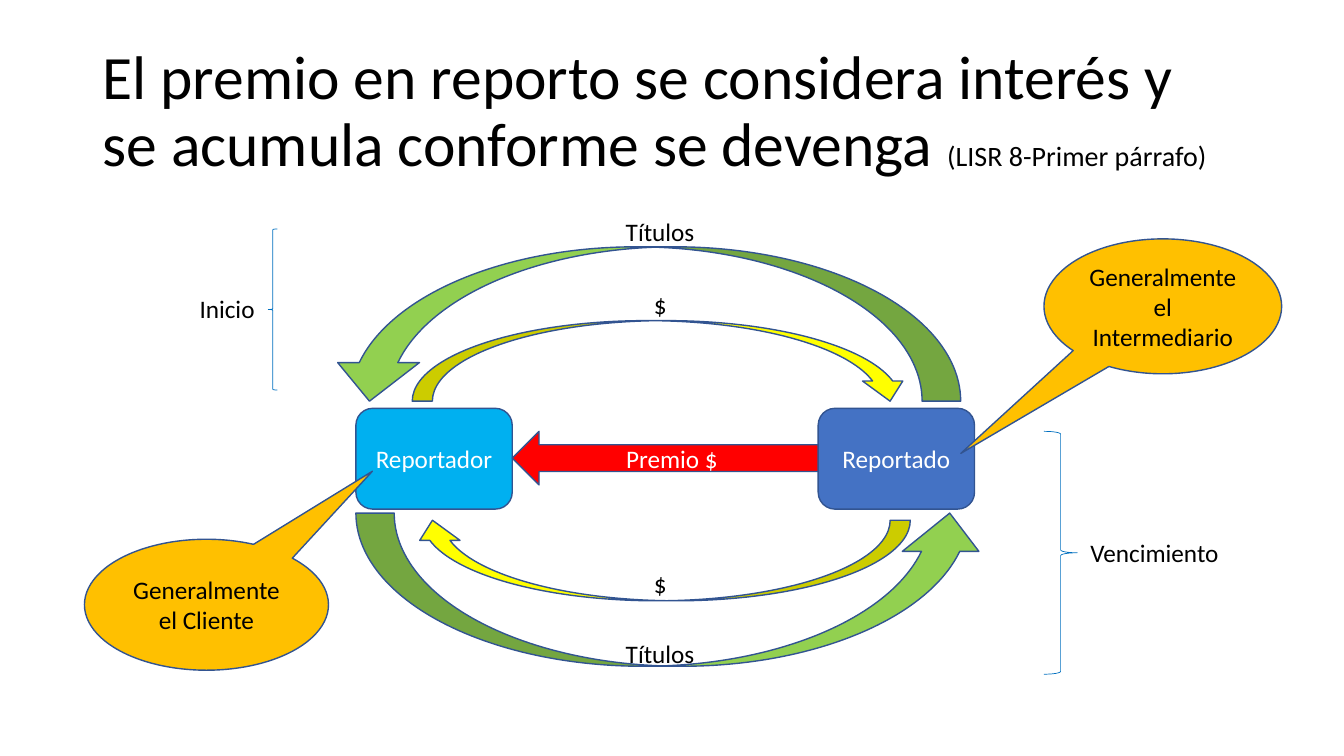
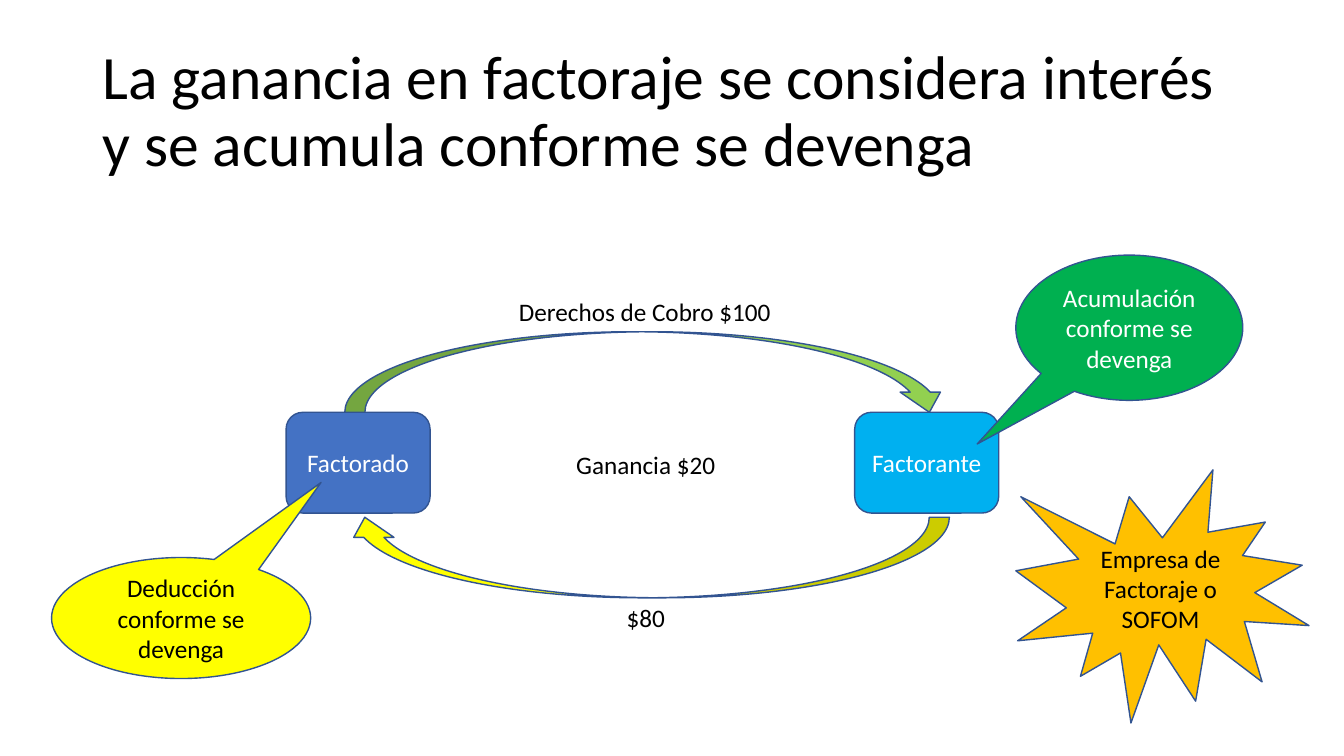
import pptx
import pptx.dml.color
import pptx.enum.shapes
import pptx.enum.text
import pptx.util

Cm = pptx.util.Cm
Pt = pptx.util.Pt
RGBColor = pptx.dml.color.RGBColor
Shape = pptx.enum.shapes.MSO_SHAPE
Align = pptx.enum.text.PP_ALIGN
Anchor = pptx.enum.text.MSO_ANCHOR
AutoSize = pptx.enum.text.MSO_AUTO_SIZE

BLACK = RGBColor(0x00, 0x00, 0x00)
WHITE = RGBColor(0xFF, 0xFF, 0xFF)
OUTLINE = RGBColor(0x32, 0x54, 0x91)
BRACE_BLUE = RGBColor(0x00, 0x70, 0xC0)
BLUE = RGBColor(0x44, 0x72, 0xC4)
SKY = RGBColor(0x00, 0xB0, 0xF0)
YELLOW = RGBColor(0xFF, 0xFF, 0x00)
LIME = RGBColor(0x92, 0xD0, 0x50)
GREEN = RGBColor(0x00, 0xB0, 0x50)
ORANGE = RGBColor(0xFF, 0xC0, 0x00)
RED = RGBColor(0xFF, 0x00, 0x00)

FONT = "Calibri"
TITLE_SIZE = 44
BODY_SIZE = 18
LABEL_HEIGHT = 1.02
PARTY_HEIGHT = 2.54


class Deck:
    """Holds the shared style and the slide being drawn; lengths are in cm."""

    def __init__(self):
        self.prs = pptx.Presentation()
        self.prs.slide_width = Cm(33.87)
        self.prs.slide_height = Cm(19.05)
        self.slide = None

    def add_run(self, paragraph, text, size=BODY_SIZE, color=BLACK):
        run = paragraph.add_run()
        run.text = text
        run.font.name = FONT
        run.font.size = Pt(size)
        run.font.color.rgb = color

    def new_slide(self, *title_runs):
        """Start a slide; each title run is a (text, size) pair."""
        self.slide = self.prs.slides.add_slide(self.prs.slide_layouts[5])
        title = self.slide.shapes.title
        title.left, title.top = Cm(2.33), Cm(1.01)
        title.width, title.height = Cm(29.21), Cm(3.68)
        frame = title.text_frame
        frame.word_wrap = True
        frame.auto_size = AutoSize.NONE
        frame.vertical_anchor = Anchor.MIDDLE
        heading = frame.paragraphs[0]
        heading.alignment = Align.LEFT
        heading.line_spacing = 0.9
        for text, size in title_runs:
            self.add_run(heading, text, size)

    def shape(self, kind, box, fill=None, text="", color=BLACK,
              adj=(), rotation=0, line=OUTLINE, weight=1):
        item = self.slide.shapes.add_shape(kind, *map(Cm, box))
        item.shadow.inherit = False
        item.rotation = rotation
        for index, value in enumerate(adj):
            item.adjustments[index] = value
        if fill is None:
            item.fill.background()
        else:
            item.fill.solid()
            item.fill.fore_color.rgb = fill
        item.line.color.rgb = line
        item.line.width = Pt(weight)
        if text:
            item.text_frame.vertical_anchor = Anchor.MIDDLE
            paragraph = item.text_frame.paragraphs[0]
            paragraph.alignment = Align.CENTER
            self.add_run(paragraph, text, color=color)

    def party(self, left, top, width, fill, name):
        self.shape(Shape.ROUNDED_RECTANGLE, (left, top, width, PARTY_HEIGHT),
                   fill, name, WHITE)

    def callout(self, box, tip, fill, text, color=BLACK):
        self.shape(Shape.OVAL_CALLOUT, box, fill, text, color, adj=tip)

    def brace(self, kind, box):
        self.shape(kind, box, line=BRACE_BLUE, weight=0.5)

    def label(self, left, top, width, text):
        box = self.slide.shapes.add_textbox(
            Cm(left), Cm(top), Cm(width), Cm(LABEL_HEIGHT))
        box.text_frame.word_wrap = False
        box.text_frame.auto_size = AutoSize.SHAPE_TO_FIT_TEXT
        self.add_run(box.text_frame.paragraphs[0], text)


def draw_repo(deck):
    deck.new_slide(
        ("El premio en reporto se considera interés y se acumula conforme se devenga ",
         TITLE_SIZE),
        ("(LISR 8-Primer párrafo)", 20))

    # Parties
    deck.party(8.97, 10.29, 3.94, SKY, "Reportador")
    deck.party(20.62, 10.29, 3.94, BLUE, "Reportado")

    # Flows of money and securities
    deck.shape(Shape.CURVED_DOWN_ARROW, (10.39, 8.08, 12.55, 2.03), YELLOW)
    deck.shape(Shape.CURVED_LEFT_ARROW, (15.65, 7.85, 2.03, 12.55), YELLOW,
               rotation=90)
    deck.shape(Shape.CURVED_RIGHT_ARROW, (14.3, 0.2, 3.89, 15.93), LIME,
               adj=(0.25, 0.53, 0.25), rotation=90)
    deck.shape(Shape.CURVED_UP_ARROW, (8.97, 12.93, 15.93, 3.86), LIME)
    for top in (15.95, 5.33):
        deck.label(15.52, top, 2.26, "Títulos")
    for top in (7.16, 14.2):
        deck.label(16.23, top, 0.84, "$")

    # Who the parties usually are
    deck.callout((26.31, 6.02, 5.99, 3.4), (-0.85, 1.09), ORANGE,
                 "Generalmente el Intermediario")
    deck.callout((2.13, 13.59, 6.15, 3.3), (0.68, -1.02), ORANGE,
                 "Generalmente el Cliente")

    # Premium
    deck.shape(Shape.LEFT_ARROW, (12.91, 10.87, 7.71, 1.35), RED,
               "Premio $", WHITE)

    # Stages
    deck.brace(Shape.LEFT_BRACE, (6.76, 5.77, 0.23, 4.06))
    deck.brace(Shape.RIGHT_BRACE, (26.31, 10.87, 0.84, 6.12))
    deck.label(4.78, 7.26, 1.9, "Inicio")
    deck.label(27.23, 13.41, 3.78, "Vencimiento")


def draw_factoring(deck):
    deck.new_slide(
        ("La ganancia en factoraje se considera interés y se acumula conforme se devenga",
         TITLE_SIZE))

    # Parties
    deck.party(7.21, 10.39, 3.63, BLUE, "Factorado")
    deck.party(21.54, 10.39, 3.63, SKY, "Factorante")

    # Flows of receivables and cash
    deck.shape(Shape.CURVED_DOWN_ARROW, (8.69, 8.36, 15.24, 2.03), LIME)
    deck.shape(Shape.CURVED_LEFT_ARROW, (15.29, 6.43, 2.03, 15.24), YELLOW,
               rotation=90)
    deck.label(12.83, 7.34, 6.93, "Derechos de Cobro $100")
    deck.label(15.54, 15.06, 1.5, "$80")
    deck.label(14.27, 11.2, 4.06, "Ganancia $20")

    # Tax treatment of each party
    deck.callout((1.3, 14.05, 6.53, 3.05), (0.54, -1.12), YELLOW,
                 "Deducción conforme se devenga")
    deck.callout((25.6, 6.43, 5.72, 3.66), (-0.67, 0.8), GREEN,
                 "Acumulación conforme se devenga", WHITE)
    deck.shape(Shape.EXPLOSION1, (25.6, 11.84, 7.39, 6.38), ORANGE,
               "Empresa de Factoraje o SOFOM")


def main():
    deck = Deck()
    draw_repo(deck)
    draw_factoring(deck)
    deck.prs.save("out.pptx")


if __name__ == "__main__":
    main()
